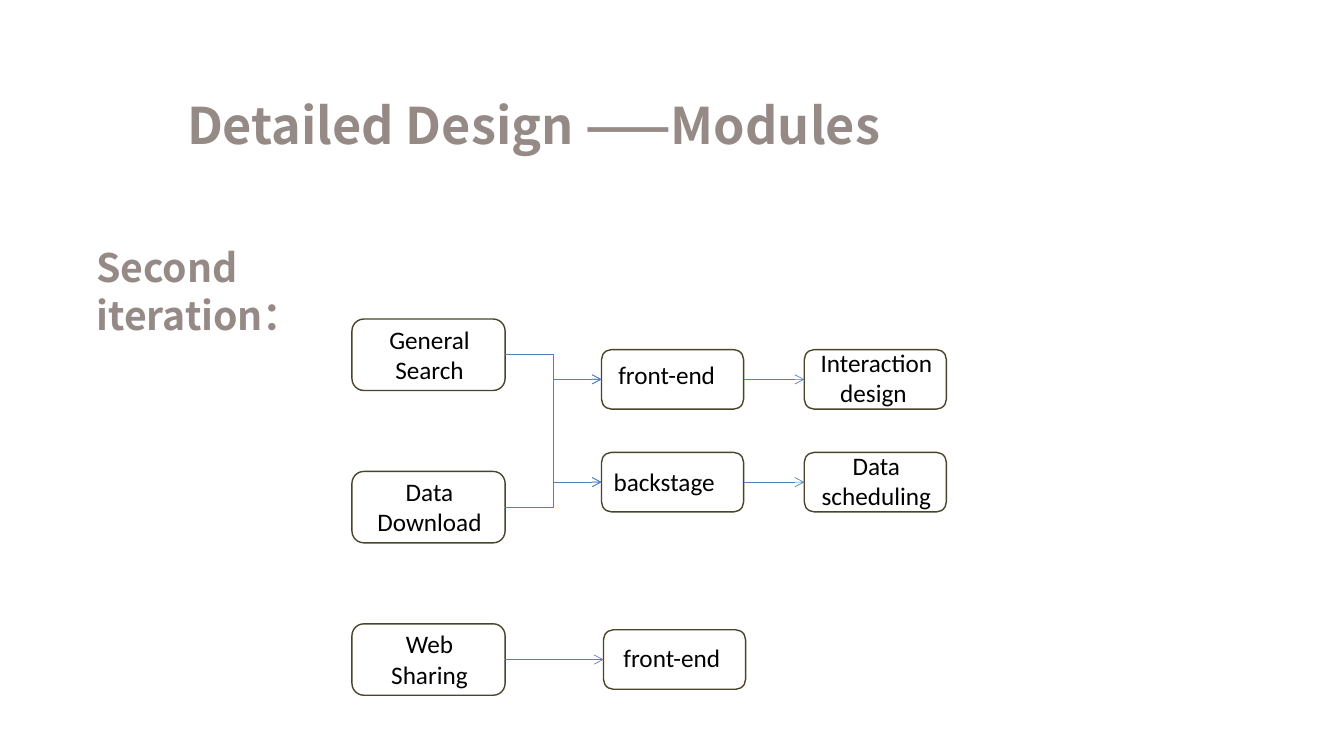
"""Builds the slide that shows the modules of the second iteration."""
from dataclasses import dataclass

from lxml.etree import SubElement
from pptx import Presentation
from pptx.dml.color import RGBColor
from pptx.enum.shapes import MSO_CONNECTOR, MSO_SHAPE
from pptx.enum.text import MSO_ANCHOR, MSO_AUTO_SIZE, PP_ALIGN
from pptx.oxml.ns import qn
from pptx.util import Cm, Pt


@dataclass(frozen=True)
class Theme:
    heading_font: str = "Noto Sans CJK SC"
    label_font: str = "Calibri"
    heading_color: RGBColor = RGBColor(0x96, 0x8A, 0x87)
    label_color: RGBColor = RGBColor(0, 0, 0)
    outline_color: RGBColor = RGBColor(0x4A, 0x45, 0x2A)
    arrow_color: RGBColor = RGBColor(0x4F, 0x81, 0xBD)
    title_size: int = 36
    subtitle_size: int = 28
    label_size: int = 18
    outline_width: float = 1
    arrow_width: float = 0.5


@dataclass(frozen=True)
class Module:
    key: str
    text: str
    left: float
    top: float
    width: float = 3.58
    height: float = 1.5
    align: PP_ALIGN = PP_ALIGN.CENTER
    inset: float = 0.13
    lift: float = 0.1


@dataclass(frozen=True)
class Flow:
    start: str
    end: str
    kind: MSO_CONNECTOR = MSO_CONNECTOR.STRAIGHT


THEME = Theme()
FEATURES = [("search", "General Search"), ("download", "Data\nDownload"), ("sharing", "Web Sharing")]
FEATURE_TOP, FEATURE_STEP = 8.04, 3.84
PART_LEFT, TASK_LEFT = 15.16, 20.27
FRONT_TOP, BACK_TOP = 8.81, 11.4

MODULES = [
    Module(key, text, 8.87, FEATURE_TOP + row * FEATURE_STEP, 3.86, 1.8, inset=0.45, lift=0.03)
    for row, (key, text) in enumerate(FEATURES)
] + [
    Module("front", "front-end", PART_LEFT, FRONT_TOP, align=PP_ALIGN.LEFT, inset=0.35, lift=0.25),
    Module("back", "backstage", PART_LEFT, BACK_TOP, align=PP_ALIGN.LEFT, inset=0.23, lift=0.05),
    Module("interaction", "Interaction design ", TASK_LEFT, FRONT_TOP),
    Module("scheduling", "Data scheduling", TASK_LEFT, BACK_TOP),
    Module("sharing front", "front-end", 15.21, 15.87, align=PP_ALIGN.LEFT, inset=0.43, lift=0.13),
]
FLOWS = [
    Flow(start, end, MSO_CONNECTOR.ELBOW)
    for start in ("search", "download")
    for end in ("front", "back")
] + [
    Flow("front", "interaction"),
    Flow("back", "scheduling"),
    Flow("sharing", "sharing front"),
]


def write_heading(box, text: str, size: int) -> None:
    """Write a bold heading at the top left of a box."""
    frame = box.text_frame
    frame.text = text
    frame.word_wrap = True
    frame.auto_size = MSO_AUTO_SIZE.NONE
    frame.vertical_anchor = MSO_ANCHOR.TOP
    para = frame.paragraphs[0]
    para.alignment = PP_ALIGN.LEFT
    para.line_spacing = Pt(1.2 * size)
    para.font.name = THEME.heading_font
    para.font.size = Pt(size)
    para.font.bold = True
    para.font.color.rgb = THEME.heading_color


def draw_module(page, module: Module):
    """Draw a rounded outline with its label and return the shape."""
    box = page.shapes.add_shape(
        MSO_SHAPE.FLOWCHART_ALTERNATE_PROCESS,
        Cm(module.left), Cm(module.top), Cm(module.width), Cm(module.height),
    )
    box.shadow.inherit = False
    box.fill.background()
    box.line.color.rgb = THEME.outline_color
    box.line.width = Pt(THEME.outline_width)
    frame = box.text_frame
    frame.text = module.text
    frame.word_wrap = True
    frame.vertical_anchor = MSO_ANCHOR.MIDDLE
    frame.margin_left = Cm(module.inset)
    frame.margin_right = Cm(module.inset - 0.05)
    frame.margin_top = 0
    frame.margin_bottom = Cm(module.lift)
    for para in frame.paragraphs:
        para.alignment = module.align
        para.font.name = THEME.label_font
        para.font.size = Pt(THEME.label_size)
        para.font.color.rgb = THEME.label_color
    return box


def draw_flow(page, flow: Flow, boxes: dict) -> None:
    """Draw an arrow from the right side of one box to the left side of another."""
    arrow = page.shapes.add_connector(flow.kind, 0, 0, 0, 0)
    arrow.begin_connect(boxes[flow.start], 3)
    arrow.end_connect(boxes[flow.end], 1)
    arrow.line.color.rgb = THEME.arrow_color
    arrow.line.width = Pt(THEME.arrow_width)
    SubElement(arrow.line._get_or_add_ln(), qn("a:tailEnd"), type="arrow")
    SubElement(arrow._element.spPr, qn("a:effectLst"))


def main() -> None:
    """Build the slide and save the deck."""
    deck = Presentation()
    deck.slide_width = Cm(33.87)
    deck.slide_height = Cm(19.05)
    page = deck.slides.add_slide(deck.slide_layouts.get_by_name("Title Only"))
    title = page.shapes.title
    title.left, title.top, title.width, title.height = Cm(4.46), Cm(2.24), Cm(20.83), Cm(1.8)
    write_heading(title, "Detailed Design ——Modules", THEME.title_size)
    subtitle = page.shapes.add_textbox(Cm(2.18), Cm(6.02), Cm(8.84), Cm(1.45))
    write_heading(subtitle, "Second iteration：", THEME.subtitle_size)
    boxes = {module.key: draw_module(page, module) for module in MODULES}
    for flow in FLOWS:
        draw_flow(page, flow, boxes)
    deck.save("out.pptx")


if __name__ == "__main__":
    main()
